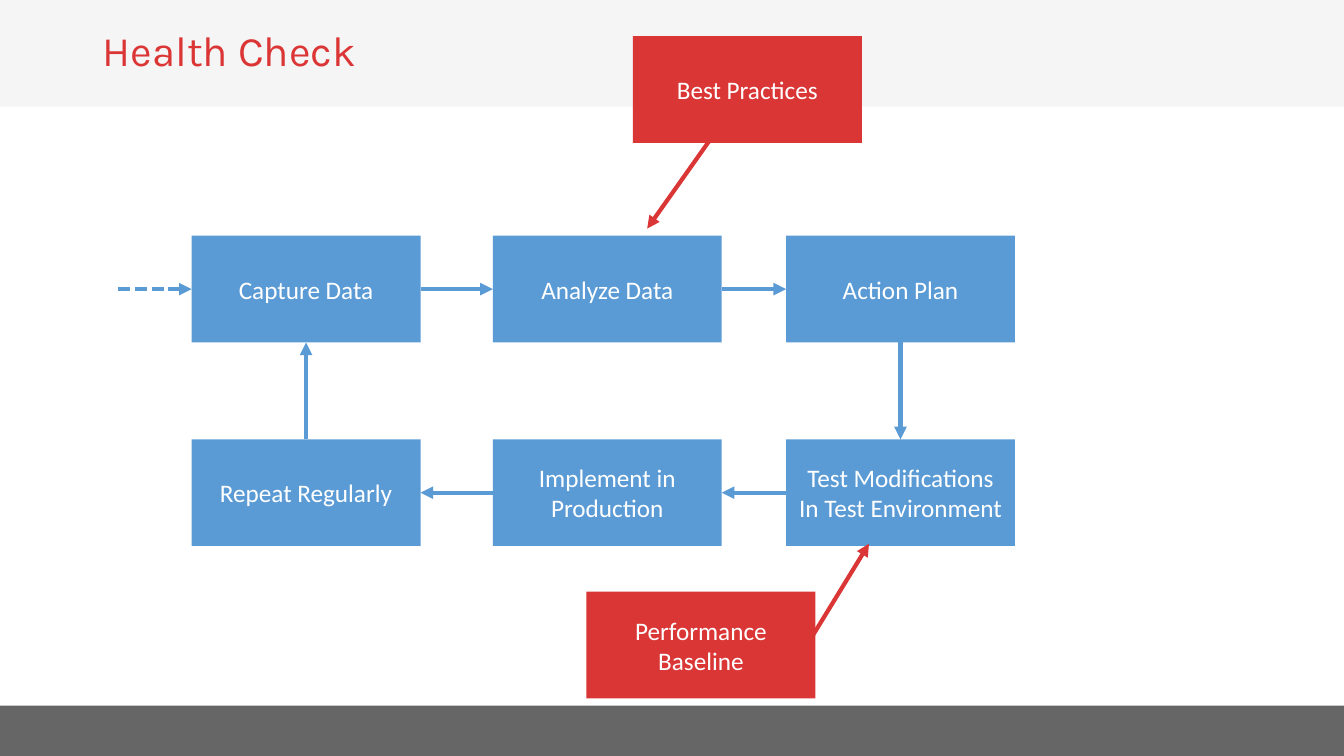
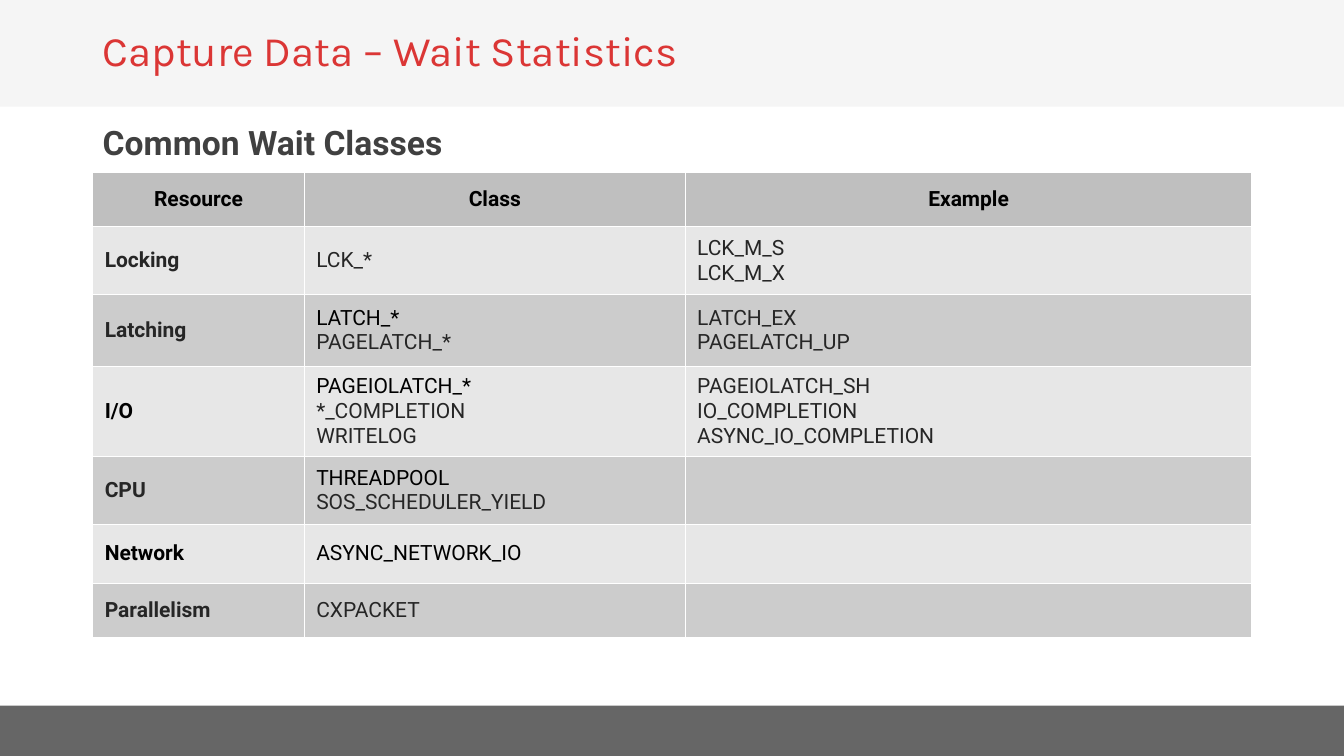
from pptx import Presentation
from pptx.util import Cm, Pt
from pptx.dml.color import RGBColor
from pptx.enum.dml import MSO_LINE
from pptx.enum.shapes import MSO_CONNECTOR, MSO_SHAPE
from pptx.enum.text import MSO_ANCHOR, PP_ALIGN
from pptx.oxml.ns import qn
from lxml.etree import SubElement

WIDE, HIGH = 33.87, 19.05
RED, BLUE, WHITE, BLACK = "DA3636", "5B9BD5", "FFFFFF", "000000"
TOP, LEFT, BOTTOM, RIGHT = range(4)


def rgb(code):
    return RGBColor.from_string(code)


def assign(item, values):
    for name, value in values.items():
        setattr(item, name, value)


class Deck:
    title = {"size": 30, "name": "Karla", "color": "DB3635"}
    head = {"size": 24, "name": "Roboto", "color": "404040", "bold": True}
    label = {"size": 18, "name": "Calibri", "color": WHITE}
    body = {"size": 15, "name": "Roboto", "color": "262626"}
    box_size = (5.77, 2.69)

    def __init__(self):
        self.prs = Presentation()
        assign(self.prs, {"slide_width": Cm(WIDE), "slide_height": Cm(HIGH)})
        self.slide = None

    def page(self, title):
        self.slide = self.prs.slides.add_slide(self.prs.slide_layouts[6])
        self.rect(0, 17.78, WIDE, 1.27, "666666")
        self.rect(0, 0, WIDE, 2.69, "F5F5F5")
        self.text(2.34, 0.1, 26.87, 2.46, title, self.title, MSO_ANCHOR.MIDDLE)

    def lines(self, frame, text, style, align=PP_ALIGN.LEFT, spacing=1.0):
        font = {"size": Pt(style["size"]), "name": style["name"],
                "bold": style.get("bold", False)}
        for n, line in enumerate(text.split("\n")):
            par = frame.add_paragraph() if n else frame.paragraphs[0]
            assign(par, {"alignment": align, "line_spacing": spacing})
            run = par.add_run()
            run.text = line
            assign(run.font, font)
            run.font.color.rgb = rgb(style["color"])

    def text(self, x, y, w, h, text, style, anchor=MSO_ANCHOR.TOP):
        frame = self.slide.shapes.add_textbox(Cm(x), Cm(y), Cm(w), Cm(h)).text_frame
        assign(frame, {"word_wrap": True, "vertical_anchor": anchor})
        self.lines(frame, text, style, spacing=0.9)

    def rect(self, x, y, w, h, fill):
        shape = self.slide.shapes.add_shape(
            MSO_SHAPE.RECTANGLE, Cm(x), Cm(y), Cm(w), Cm(h))
        shape.shadow.inherit = False
        shape.fill.solid()
        shape.fill.fore_color.rgb = rgb(fill)
        shape.line.fill.background()
        return shape

    def box(self, x, y, text, fill=BLUE):
        shape = self.rect(x, y, *self.box_size, fill)
        assign(shape.text_frame, {"word_wrap": True,
                                  "vertical_anchor": MSO_ANCHOR.MIDDLE})
        self.lines(shape.text_frame, text, self.label, PP_ALIGN.CENTER)
        return shape

    def arrow(self, start, end, color=BLUE, dash=None):
        line = self.slide.shapes.add_connector(
            MSO_CONNECTOR.STRAIGHT, *[Cm(v) for v in start + end])
        line.line.color.rgb = rgb(color)
        assign(line.line, {"width": Pt(3), "dash_style": dash})
        props = line.element.find(qn("p:spPr"))
        SubElement(props.find(qn("a:ln")), qn("a:tailEnd"), type="triangle")
        SubElement(props, qn("a:effectLst"))
        return line

    def link(self, first, out, last, into):
        line = self.arrow((0, 0), (0, 0))
        line.begin_connect(first, out)
        line.end_connect(last, into)

    def cell(self, cell, text, fill, bold, align, dark):
        assign(cell, {"vertical_anchor": MSO_ANCHOR.MIDDLE,
                      "margin_left": Cm(0.3), "margin_right": Cm(0.3),
                      "margin_top": Cm(0.15), "margin_bottom": Cm(0.15)})
        props = cell._tc.get_or_add_tcPr()
        for side in ("lnL", "lnR", "lnT", "lnB"):
            edge = SubElement(props, qn("a:" + side), w=str(Pt(1)))
            solid = SubElement(edge, qn("a:solidFill"))
            SubElement(solid, qn("a:srgbClr"), val=WHITE)
        cell.fill.solid()
        cell.fill.fore_color.rgb = rgb(fill)
        if text:
            self.lines(cell.text_frame, text, {**self.body, "bold": bold}, align)
        for par in cell.text_frame.paragraphs:
            for run in par.runs:
                if run.text in dark:
                    run.font.color.rgb = rgb(BLACK)

    def table(self, x, y, cols, rows, data, dark):
        grid = self.slide.shapes.add_table(
            len(rows), len(cols), Cm(x), Cm(y), Cm(sum(cols)), Cm(sum(rows))).table
        assign(grid, {"first_row": False, "horz_banding": False})
        for col, width in zip(grid.columns, cols):
            col.width = Cm(width)
        for r, (row, high) in enumerate(zip(data, rows)):
            grid.rows[r].height = Cm(high)
            fill = ("CCCCCC", "E7E7E7")[r % 2] if r else "BFBFBF"
            align = PP_ALIGN.LEFT if r else PP_ALIGN.CENTER
            for c, text in enumerate(row):
                self.cell(grid.cell(r, c), text, fill, r == 0 or c == 0, align, dark)


def health(deck):
    deck.page("Health Check")
    cols = (4.83, 12.42, 19.81)
    upper, lower = 5.94, 11.07
    capture, study, plan = [deck.box(x, upper, text) for x, text in zip(
        cols, ("Capture Data", "Analyze Data", "Action Plan"))]
    repeat, rollout, test = [deck.box(x, lower, text) for x, text in zip(
        cols, ("Repeat Regularly", "Implement in Production",
               "Test Modifications\nIn Test Environment"))]
    deck.box(14.78, 14.91, "Performance Baseline", RED)
    deck.box(15.95, 0.91, "Best Practices", RED)

    deck.arrow((17.91, 3.5), (16.31, 5.76), RED)
    deck.arrow((20.35, 16.23), (21.9, 13.7), RED)
    for ends in ((plan, BOTTOM, test, TOP), (test, LEFT, rollout, RIGHT),
                 (rollout, LEFT, repeat, RIGHT), (repeat, TOP, capture, BOTTOM),
                 (capture, RIGHT, study, LEFT), (study, RIGHT, plan, LEFT)):
        deck.link(*ends)
    middle = upper + deck.box_size[1] / 2
    entry = deck.arrow((2.97, middle), (cols[0], middle), dash=MSO_LINE.SQUARE_DOT)
    entry.end_connect(capture, LEFT)


def waits(deck):
    deck.page("Capture Data – Wait Statistics")
    deck.text(2.34, 3.07, 29.2, 1.27, "Common Wait Classes", deck.head)
    data = (
        ("Resource", "Class", "Example"),
        ("Locking", "LCK_*", "LCK_M_S\nLCK_M_X"),
        ("Latching", "LATCH_*\nPAGELATCH_*", "LATCH_EX\nPAGELATCH_UP"),
        ("I/O", "PAGEIOLATCH_*\n*_COMPLETION\nWRITELOG",
         "PAGEIOLATCH_SH\nIO_COMPLETION\nASYNC_IO_COMPLETION"),
        ("CPU", "THREADPOOL\nSOS_SCHEDULER_YIELD", ""),
        ("Network", "ASYNC_NETWORK_IO", ""),
        ("Parallelism", "CXPACKET", ""),
    )
    dark = {*data[0], "LATCH_*", "I/O", "PAGEIOLATCH_*", "THREADPOOL",
            "Network", "ASYNC_NETWORK_IO"}
    deck.table(2.34, 4.35, (5.33, 9.6, 14.28),
               (1.36, 1.71, 1.81, 2.27, 1.71, 1.49, 1.37), data, dark)


def main():
    deck = Deck()
    health(deck)
    waits(deck)
    deck.prs.save("out.pptx")


if __name__ == "__main__":
    main()
